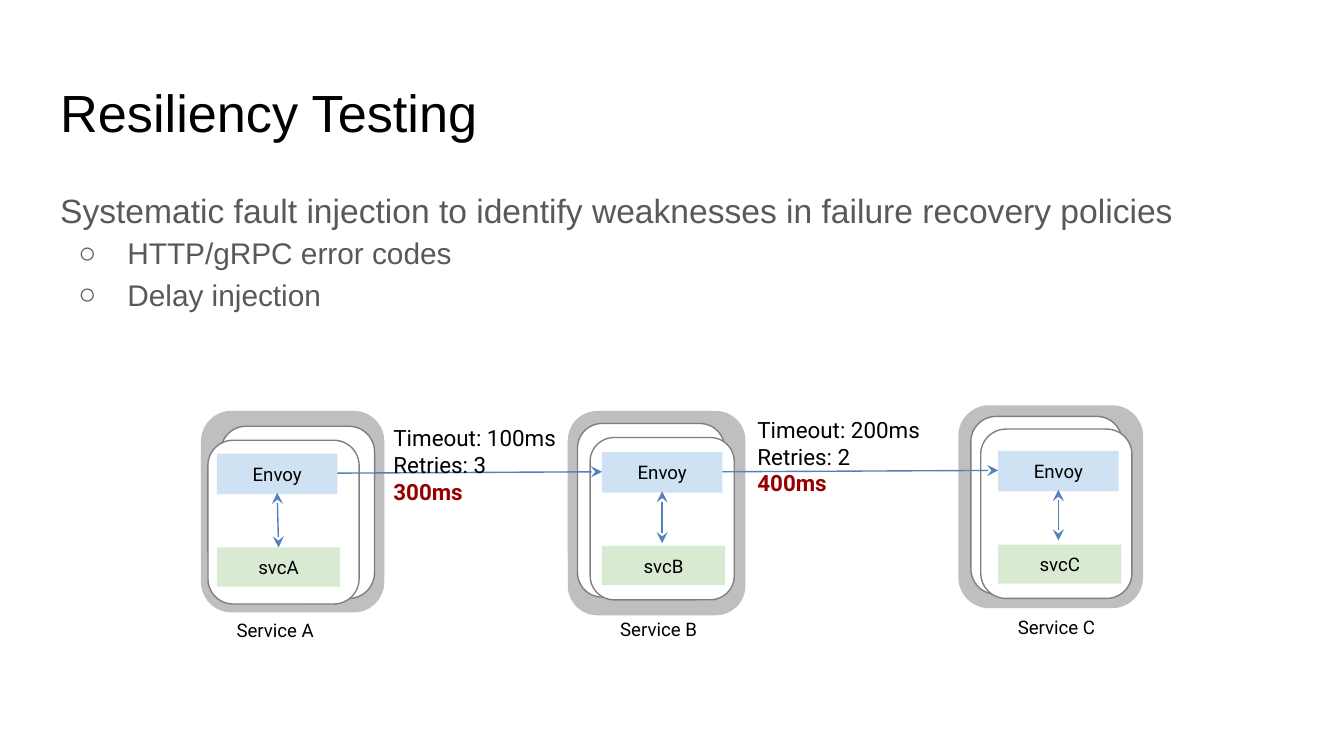
from dataclasses import dataclass

from lxml import etree
from pptx import Presentation
from pptx import util as u
from pptx.dml.color import RGBColor
from pptx.enum import shapes, text
from pptx.oxml.ns import qn

PX = 9525
HUES = {
    "black": "000000", "body": "595959", "shell": "BFBFBF", "card": "FFFFFF",
    "edge": "7F7F7F", "svc": "D9EAD3", "proxy": "CFE2F3", "link": "4F81BD",
    "alert": "980000",
}
Box = tuple[int, int, int, int]
Spot = tuple[int, int]


@dataclass
class Node:
    tag: str
    shell: Box
    back: Box
    front: Box
    svc: Spot
    proxy: Spot
    label: Spot
    start: Spot
    end: Spot


@dataclass
class Note:
    box: Box
    lines: list[str]


@dataclass
class Link:
    start: Spot
    end: Spot
    both: bool = False


NODES = [
    Node("A", (137, 300, 144, 131), (151, 311, 123, 110), (144, 319, 117, 108),
         (155, 391), (155, 324), (161, 438), (198, 352), (199, 391)),
    Node("B", (396, 303, 146, 127), (403, 312, 124, 105), (415, 319, 116, 103),
         (430, 390), (430, 323), (435, 437), (473, 351), (473, 388)),
    Node("C", (678, 296, 145, 132), (684, 307, 127, 108), (694, 313, 121, 108),
         (713, 389), (713, 322), (719, 436), (756, 350), (756, 386)),
]
LINKS = [Link((241, 338), (430, 337)), Link((516, 337), (713, 336))]
NOTES = [
    Note((272, 293, 155, 69), ["Timeout: 100ms", "Retries: 3", "300ms"]),
    Note((532, 287, 155, 60), ["Timeout: 200ms", "Retries: 2", "400ms"]),
]


def hue(key: str) -> RGBColor:
    return RGBColor.from_string(HUES[key])


def scale(box: tuple[int, ...]) -> list[int]:
    return [n * PX for n in box]


def place(item, box: Box) -> None:
    item.left, item.top, item.width, item.height = scale(box)


def setup(frame, side: int, top: int) -> None:
    frame.word_wrap = True
    frame.auto_size = text.MSO_AUTO_SIZE.NONE
    frame.vertical_anchor = text.MSO_ANCHOR.TOP
    frame.margin_left = frame.margin_right = side * PX
    frame.margin_top = frame.margin_bottom = top * PX


def style(para, face: str, size: int, color: str = "black", bold: bool = False) -> None:
    para.font.name = face
    para.font.size = u.Pt(size)
    para.font.bold = bold
    para.font.color.rgb = hue(color)


def bullet(para, mark: str = "") -> None:
    props = para._p.get_or_add_pPr()
    props.set("marL", str(48 * PX if mark else 0))
    props.set("indent", str(-35 * PX if mark else 0))
    if not mark:
        etree.SubElement(props, qn("a:buNone"))
        return
    tint = etree.SubElement(props, qn("a:buClr"))
    etree.SubElement(tint, qn("a:srgbClr"), val=HUES["body"])
    etree.SubElement(props, qn("a:buFont"), typeface="Arial")
    etree.SubElement(props, qn("a:buChar"), char=mark)


def paint(item, fill: str, edge: str = "") -> None:
    item.shadow.inherit = False
    item.fill.solid()
    item.fill.fore_color.rgb = hue(fill)
    if edge:
        item.line.color.rgb = hue(edge)
        item.line.width = u.Pt(0.75)
    else:
        item.line.fill.background()


def card(slide, box: Box, fill: str, edge: str = "") -> None:
    item = slide.shapes.add_shape(shapes.MSO_SHAPE.ROUNDED_RECTANGLE, *scale(box))
    item.adjustments[0] = 0.167
    item.rotation = 90
    paint(item, fill, edge)


def block(slide, box: Box, words: str, fill: str) -> None:
    item = slide.shapes.add_shape(shapes.MSO_SHAPE.RECTANGLE, *scale(box))
    paint(item, fill)
    frame = item.text_frame
    setup(frame, 7, 4)
    frame.vertical_anchor = text.MSO_ANCHOR.MIDDLE
    para = frame.paragraphs[0]
    para.text = words
    para.alignment = text.PP_ALIGN.CENTER
    style(para, "Roboto", 10)


def label(slide, box: Box, words: str) -> None:
    frame = slide.shapes.add_textbox(*scale(box)).text_frame
    setup(frame, 8, 4)
    para = frame.paragraphs[0]
    para.text = words
    style(para, "Roboto", 10)


def join(slide, link: Link) -> None:
    line = slide.shapes.add_connector(
        shapes.MSO_CONNECTOR.STRAIGHT, *scale(link.start + link.end))
    line.line.color.rgb = hue("link")
    line.line.width = u.Pt(0.75)
    stroke = line._element.spPr.find(qn("a:ln"))
    for end in ("a:headEnd", "a:tailEnd") if link.both else ("a:tailEnd",):
        etree.SubElement(stroke, qn(end), type="stealth", w="med", len="med")
    etree.SubElement(line._element.spPr, qn("a:effectLst"))


def draw(slide, node: Node) -> None:
    card(slide, node.shell, "shell")
    card(slide, node.back, "card", "edge")
    card(slide, node.front, "card", "edge")
    block(slide, (*node.svc, 88, 28), f"svc{node.tag}", "svc")
    block(slide, (*node.proxy, 86, 29), "Envoy", "proxy")
    join(slide, Link(node.start, node.end, True))
    label(slide, (*node.label, 73, 24), f"Service {node.tag}")


def write(slide, note: Note) -> None:
    frame = slide.shapes.add_textbox(*scale(note.box)).text_frame
    setup(frame, 9, 10)
    frame.text = "\n".join(note.lines)
    *plain, total = frame.paragraphs
    for para in plain:
        style(para, "Roboto", 12)
    style(total, "Roboto", 12, "alert", True)


def head(slide) -> None:
    title = slide.shapes.title
    place(title, (33, 47, 895, 60))
    setup(title.text_frame, 10, 10)
    para = title.text_frame.paragraphs[0]
    para.text = "Resiliency Testing"
    para.alignment = text.PP_ALIGN.LEFT
    style(para, "Arial", 28)


def body(slide) -> None:
    item = slide.placeholders[1]
    place(item, (33, 121, 859, 359))
    frame = item.text_frame
    setup(frame, 10, 10)
    frame.text = "\n".join([
        "Systematic fault injection to identify weaknesses in failure recovery policies",
        "HTTP/gRPC error codes",
        "Delay injection",
    ])
    for rank, para in enumerate(frame.paragraphs):
        para.level = 1 if rank else 0
        para.line_spacing = 1.15
        para.space_before = u.Pt(0)
        bullet(para, "○" if rank else "")
        style(para, "Arial", 16 if rank else 18, "body")


def main() -> None:
    deck = Presentation()
    deck.slide_width, deck.slide_height = scale((960, 540))
    slide = deck.slides.add_slide(deck.slide_layouts[1])
    head(slide)
    body(slide)
    for node in NODES:
        draw(slide, node)
    for link in LINKS:
        join(slide, link)
    for note in NOTES:
        write(slide, note)
    deck.save("out.pptx")


if __name__ == "__main__":
    main()
